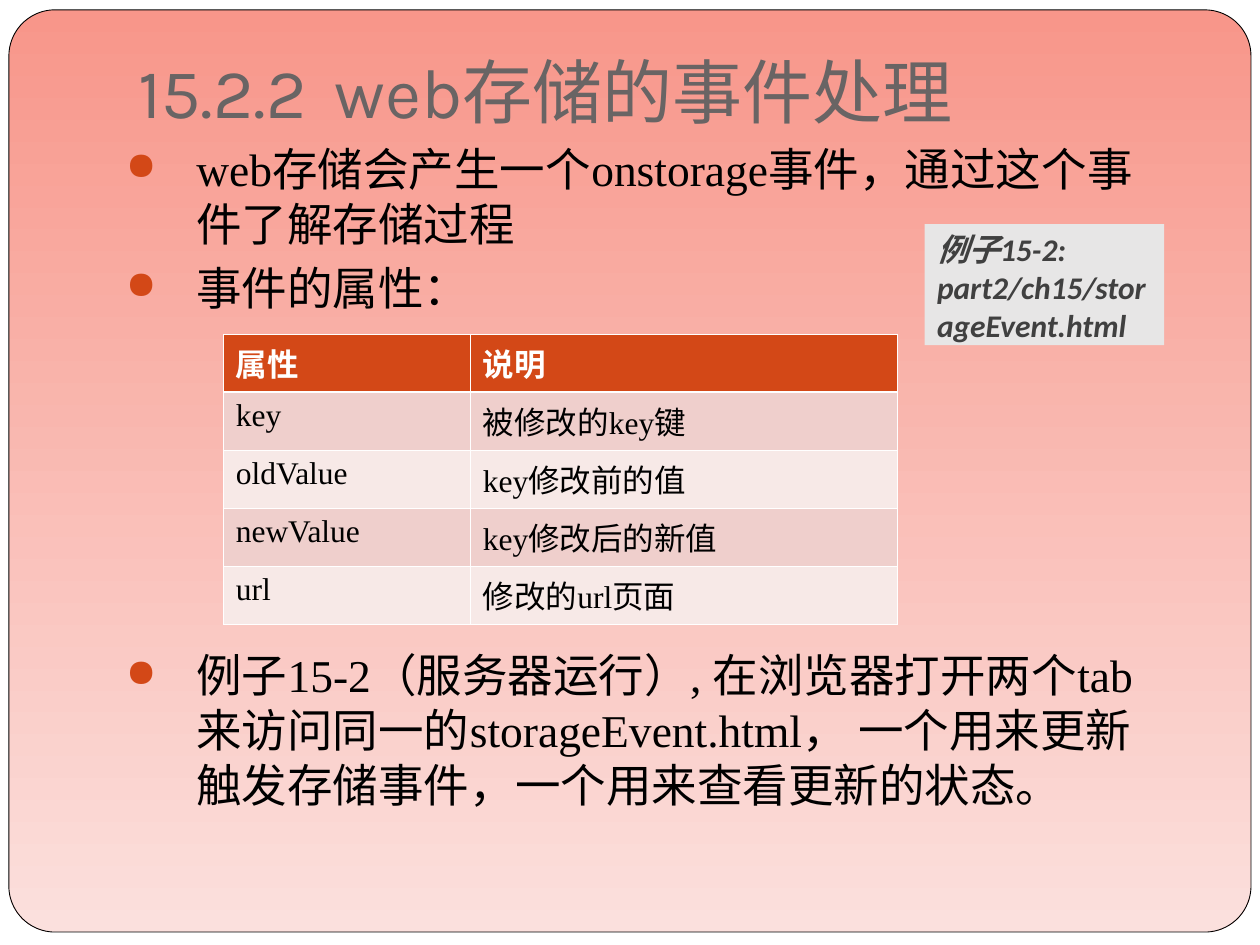
from lxml import etree
from pptx import Presentation
from pptx import util as u
from pptx.dml import color
from pptx.enum import shapes, text
from pptx.oxml import ns

Cm, Pt = u.Cm, u.Pt
HUES = {
    "top": "F8968A", "base": "FBE0DD", "white": "FFFFFF", "black": "000000",
    "title": "696464", "accent": "D34817", "dark": "EFCFCC",
    "light": "F7E9E7", "note": "E7E6E6", "gray": "404040",
}
SERIF = "Times New Roman"
POINTS = [
    ("web存储会产生一个onstorage事件，通过这个事件了解存储过程", 5.8),
    ("事件的属性：", 5.8),
    ("例子15-2（服务器运行）, 在浏览器打开两个tab来访问同一的storageEvent.html，"
     " 一个用来更新触发存储事件，一个用来查看更新的状态。", 190),
]
ROWS = [
    ("属性", "说明"),
    ("key", "被修改的key键"),
    ("oldValue", "key修改前的值"),
    ("newValue", "key修改后的新值"),
    ("url", "修改的url页面"),
]


def hue(name):
    return color.RGBColor.from_string(HUES[name])


def paint(fill, name):
    fill.solid()
    fill.fore_color.rgb = hue(name)


def add(node, tag, **attrs):
    return etree.SubElement(node, ns.qn(tag), attrs)


def style(para, face, size, name, bold=False, slant=False):
    for run in para.runs:
        font = run.font
        font.name, font.size = face, Pt(size)
        font.bold, font.italic = bold, slant
        font.color.rgb = hue(name)


def hang(para):
    props = para._p.get_or_add_pPr()
    props.set("marL", str(Cm(1.42)))
    props.set("indent", str(-Cm(1.42)))
    return props


def panel(slide, box):
    card = slide.shapes.add_shape(shapes.MSO_SHAPE.ROUNDED_RECTANGLE, *box)
    card.shadow.inherit = False
    card.adjustments[0] = 0.05
    card.fill.gradient()
    card.fill.gradient_angle = 270
    for stop, name in zip(card.fill.gradient_stops, ("top", "base")):
        stop.color.rgb = hue(name)
    card.line.color.rgb = hue("black")
    card.line.width = Pt(0.5)


def title(slide, box):
    frame = slide.shapes.add_textbox(*box).text_frame
    frame.word_wrap = True
    frame.vertical_anchor = text.MSO_ANCHOR.BOTTOM
    frame.margin_bottom = Cm(0.25)
    para = frame.paragraphs[0]
    para.text = "15.2.2\tweb存储的事件处理"
    style(para, "Karla", 40, "title")
    tabs = add(hang(para), "a:tabLst")
    add(tabs, "a:tab", pos=str(Cm(2.54)), algn="l")


def body(slide, box):
    frame = slide.shapes.add_textbox(*box).text_frame
    frame.word_wrap = True
    for i, (words, gap) in enumerate(POINTS):
        para = frame.add_paragraph() if i else frame.paragraphs[0]
        para.text = words
        para.space_before = Pt(gap)
        style(para, SERIF, 26, "black")
        props = hang(para)
        add(add(props, "a:buClr"), "a:srgbClr", val=HUES["accent"])
        add(props, "a:buSzPct", val="85000")
        add(props, "a:buChar", char="●")


def edge(cell, side, width):
    line = add(cell._tc.get_or_add_tcPr(), "a:ln" + side, w=str(Pt(width)))
    add(add(line, "a:solidFill"), "a:srgbClr", val=HUES["white"])


def grid(slide, box):
    table = slide.shapes.add_table(len(ROWS), 2, *box).table
    for col, width in zip(table.columns, (4.98, 8.61)):
        col.width = Cm(width)
    for i, row in enumerate(ROWS):
        head = i == 0
        back = "accent" if head else "dark" if i % 2 else "light"
        for j, words in enumerate(row):
            cell = table.cell(i, j)
            for side in "LRTB":
                thick = (i, side) in ((0, "B"), (1, "T"))
                edge(cell, side, 1.47 if thick else 0.45)
            paint(cell.fill, back)
            cell.text_frame.text = words
            style(cell.text_frame.paragraphs[0], SERIF, 18,
                  "white" if head else "black", bold=head)


def note(slide, box):
    card = slide.shapes.add_shape(shapes.MSO_SHAPE.RECTANGLE, *box)
    card.shadow.inherit = False
    paint(card.fill, "note")
    card.line.fill.background()
    frame = card.text_frame
    frame.word_wrap = True
    frame.vertical_anchor = text.MSO_ANCHOR.TOP
    para = frame.paragraphs[0]
    para.text = "例子15-2: part2/ch15/storageEvent.html"
    para.alignment = text.PP_ALIGN.LEFT
    style(para, "Calibri", 18, "gray", bold=True, slant=True)


def area(*sides):
    return [Cm(side) for side in sides]


def main():
    deck = Presentation()
    deck.slide_width, deck.slide_height = area(25.4, 19.05)
    slide = deck.slides.add_slide(deck.slide_layouts[6])
    paint(slide.background.fill, "white")
    panel(slide, area(0.18, 0.2, 25.04, 18.59))
    title(slide, area(2.54, 0.76, 21.59, 2.16))
    body(slide, area(2.29, 2.72, 21.59, 13.79))
    grid(slide, area(4.5, 6.73, 13.59, 5.85))
    note(slide, area(18.64, 4.52, 4.83, 2.44))
    deck.save("out.pptx")


if __name__ == "__main__":
    main()
